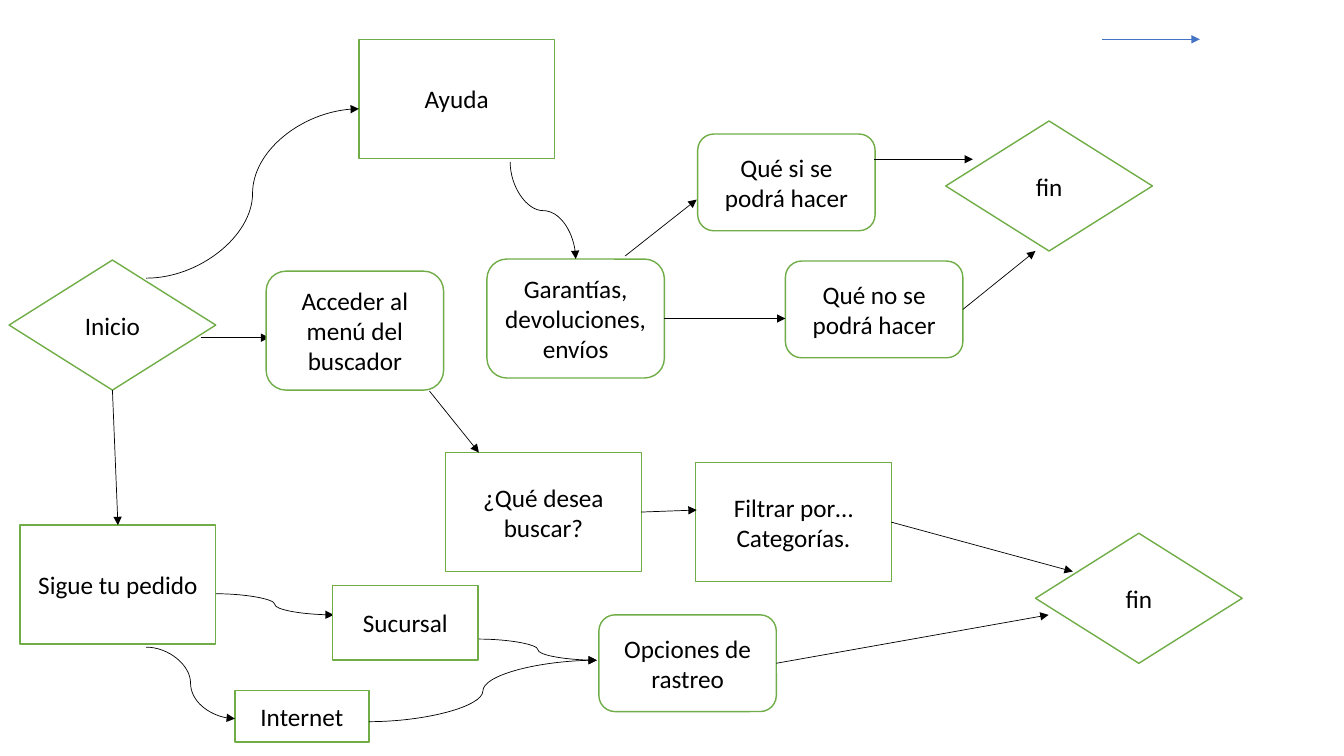
import pptx
import pptx.dml.color
import pptx.enum.shapes
import pptx.enum.text
import pptx.oxml
import pptx.oxml.ns
import pptx.util

Inches = pptx.util.Inches
Pt = pptx.util.Pt
Kind = pptx.enum.shapes.MSO_SHAPE
Line = pptx.enum.shapes.MSO_CONNECTOR
TOP, RIGHT, BOTTOM = 0, 3, 2

STEP = (Kind.ROUNDED_RECTANGLE, 1.76, 1.18)
CHOICE = (Kind.ROUNDED_RECTANGLE, 1.76, 0.96)
PAGE = (Kind.RECTANGLE, 1.94, 1.18)
ENDS = (Kind.DIAMOND, 2.05, 1.29)

# name: (form, left, top, text)
BOXES = {
    "start": (ENDS, 0.09, 2.58, "Inicio"),
    "menu": (STEP, 2.64, 2.69, "Acceder al menú del buscador"),
    "help": (PAGE, 3.56, 0.39, "Ayuda"),
    "search": (PAGE, 4.42, 4.49, "¿Qué desea buscar?"),
    "can": (CHOICE, 6.92, 1.33, "Qué si se podrá hacer"),
    "order": (PAGE, 0.2, 5.21, "Sigue tu pedido"),
    "low end": (ENDS, 10.27, 5.29, "fin"),
    "terms": (STEP, 4.83, 2.57, "Garantías, devoluciones, envíos"),
    "filter": (PAGE, 6.9, 4.59, "Filtrar por…\nCategorías."),
    "cannot": (CHOICE, 7.79, 2.59, "Qué no se podrá hacer"),
    "top end": (ENDS, 9.38, 1.2, "fin"),
    "branch": ((Kind.RECTANGLE, 1.44, 0.74), 3.3, 5.81, "Sucursal"),
    "web": ((Kind.RECTANGLE, 1.33, 0.51), 2.33, 6.85, "Internet"),
    "track": (CHOICE, 5.94, 6.1, "Opciones de rastreo"),
}

# (from, to, joined start, joined end)
ARROWS = [
    ((4.26, 3.88), (4.75, 4.49), None, None),
    ((6.2, 2.54), (6.91, 1.98), None, None),
    ((8.67, 1.58), (9.65, 1.58), None, None),
    ((9.55, 3.07), (10.27, 2.49), ("cannot", RIGHT), None),
    ((6.59, 3.16), (7.79, 3.16), ("terms", RIGHT), None),
    ((6.36, 5.08), (6.91, 5.06), ("search", RIGHT), None),
    ((8.84, 5.18), (10.64, 5.67), ("filter", RIGHT), None),
    ((1.12, 3.87), (1.17, 5.21), ("start", BOTTOM), ("order", TOP)),
    ((7.7, 6.55), (10.4, 6.1), ("track", RIGHT), None),
]

CURVES = [
    ((1.45, 2.76), (3.56, 1.08)),
    ((1.45, 6.42), (2.33, 7.13)),
    ((4.75, 6.34), (5.92, 6.55)),
    ((3.66, 7.16), (5.92, 6.55)),
]


def rgb(code):
    return pptx.dml.color.RGBColor.from_string(code)


def write(frame, text, font="Calibri", size=18, color="000000"):
    """Fill a frame with centred text, one paragraph a line."""
    frame.word_wrap = True
    frame.vertical_anchor = pptx.enum.text.MSO_ANCHOR.MIDDLE
    for i, row in enumerate(text.split("\n")):
        para = frame.add_paragraph() if i else frame.paragraphs[0]
        para.alignment = pptx.enum.text.PP_ALIGN.CENTER
        run = para.add_run()
        run.text = row
        run.font.name = font
        run.font.size = Pt(size)
        run.font.color.rgb = rgb(color)


class Flow:
    fill, edge, ink = "FFFFFF", "70AD47", "000000"

    def __init__(self, slide):
        self.slide = slide

    def box(self, form, left, top, text):
        kind, wide, high = form
        shape = self.slide.shapes.add_shape(
            kind, Inches(left), Inches(top), Inches(wide), Inches(high))
        shape.shadow.inherit = False
        shape.fill.solid()
        shape.fill.fore_color.rgb = rgb(self.fill)
        shape.line.color.rgb = rgb(self.edge)
        shape.line.width = Pt(1)
        write(shape.text_frame, text, color=self.ink)
        return shape

    def arrow(self, start, end, kind=Line.STRAIGHT, color=None):
        link = self.slide.shapes.add_connector(
            kind, *(Inches(n) for n in start + end))
        link.line.color.rgb = rgb(color or self.ink)
        link.line.width = Pt(0.5)
        props = link._element.spPr
        tip = pptx.oxml.ns.qn("a:tailEnd")
        link.line._get_or_add_ln().makeelement(tip)
        pptx.oxml.parse_xml  # noqa
        head = props.makeelement(tip, {"type": "triangle"})
        link.line._get_or_add_ln().append(head)
        props.append(props.makeelement(pptx.oxml.ns.qn("a:effectLst"), {}))
        return link

    def curve(self, start, end):
        return self.arrow(start, end, Line.CURVE)

    def drop(self, start, end):
        """Curve that leaves and arrives vertically, by a quarter turn."""
        (x1, y1), (x2, y2) = start, end
        midx, midy = (x1 + x2) / 2, (y1 + y2) / 2
        dx, dy = (y2 - y1) / 2, (x2 - x1) / 2
        link = self.curve((midx + dx, midy - dy), (midx - dx, midy + dy))
        link._element.spPr.xfrm.set("rot", str(270 * 60000))
        return link


def main():
    deck = pptx.Presentation()
    deck.slide_width, deck.slide_height = Inches(13.33), Inches(7.5)
    flow = Flow(deck.slides.add_slide(deck.slide_layouts[6]))

    # These tips lie under the boxes they reach
    flow.arrow((1.99, 3.35), (2.67, 3.35))
    flow.curve((2.14, 5.89), (3.31, 6.1))

    boxes = {name: flow.box(*spec) for name, spec in BOXES.items()}
    for start, end, tied, bound in ARROWS:
        link = flow.arrow(start, end)
        if tied:
            link.begin_connect(boxes[tied[0]], tied[1])
        if bound:
            link.end_connect(boxes[bound[0]], bound[1])
    for start, end in CURVES:
        flow.curve(start, end)
    flow.drop((5.06, 1.61), (5.71, 2.57))
    flow.arrow((10.93, 0.39), (11.9, 0.39), color="4472C4")
    deck.save("out.pptx")


if __name__ == "__main__":
    main()
